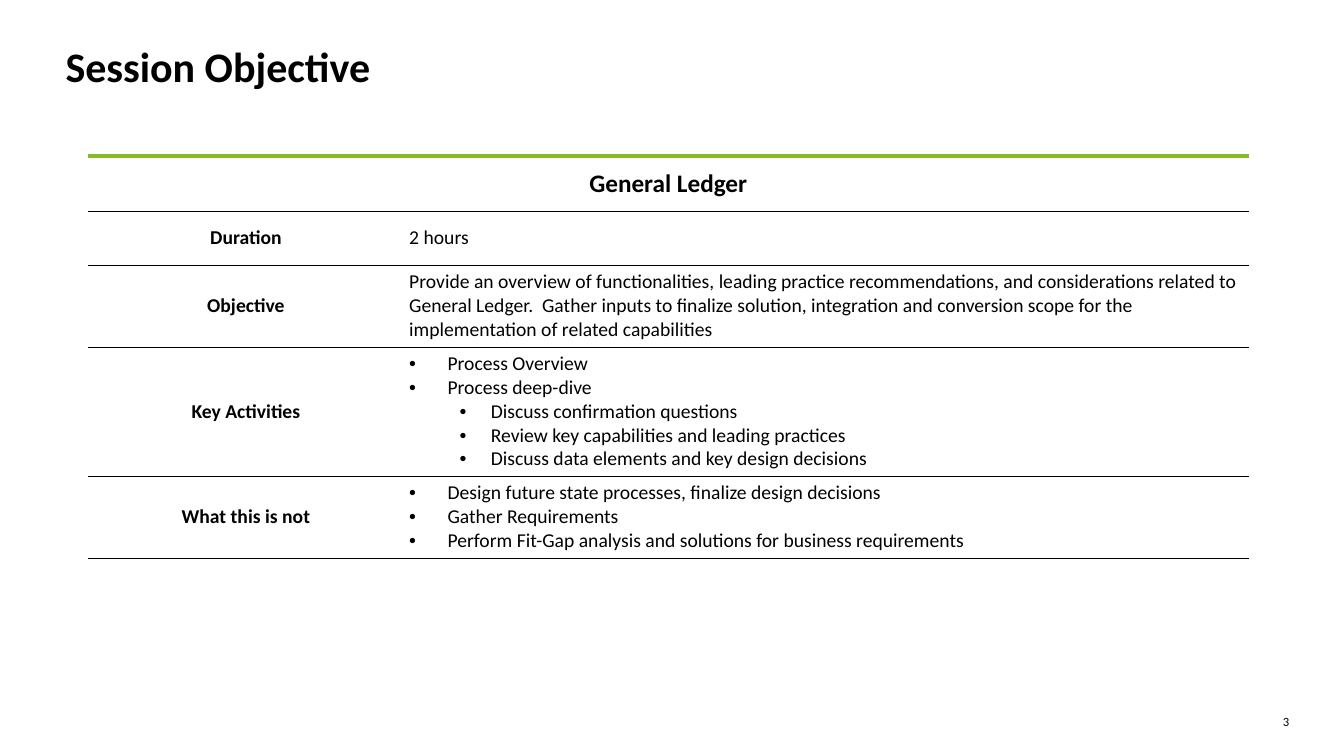
from dataclasses import dataclass

from lxml.etree import SubElement
from pptx import Presentation
from pptx.dml.color import RGBColor
from pptx.enum.text import MSO_ANCHOR, PP_ALIGN
from pptx.oxml import parse_xml
from pptx.oxml.ns import nsdecls, qn
from pptx.util import Inches, Pt


@dataclass(frozen=True)
class Theme:
    font: str = "Calibri"
    ink: str = "000000"
    green: str = "86BC25"
    title: int = 30
    head: int = 18
    body: int = 14
    small: int = 9
    thick: float = 3
    thin: float = 0.25


THEME = Theme()
UNIT = 0.1  # inches per grid step
COLS, ROWS = 133.33, 75

TOPIC = "General Ledger"
# Each row: label, then lines as (level, text); level None has no bullet
FACTS = [
    ("Duration", [(None, "2 hours")]),
    ("Objective", [(None, "Provide an overview of functionalities, leading practice "
                          "recommendations, and considerations related to General Ledger.  "
                          "Gather inputs to finalize solution, integration and conversion "
                          "scope for the implementation of related capabilities")]),
    ("Key Activities", [
        (0, "Process Overview"),
        (0, "Process deep-dive"),
        (1, "Discuss confirmation questions"),
        (1, "Review key capabilities and leading practices"),
        (1, "Discuss data elements and key design decisions")]),
    ("What this is not", [
        (0, "Design future state processes, finalize design decisions"),
        (0, "Gather Requirements"),
        (0, "Perform Fit-Gap analysis and solutions for business requirements")]),
]
INDENTS = [(0.38, -0.38), (0.81, -0.31)]


def grid(*steps):
    return [Inches(step * UNIT) for step in steps]


def style(para, size, bold=False, align=PP_ALIGN.LEFT):
    para.alignment = align
    font = para.font
    font.name, font.size, font.bold = THEME.font, Pt(size), bold
    font.color.rgb = RGBColor.from_string(THEME.ink)


def bullet(para, level):
    left, first = INDENTS[level]
    para.level = level
    props = para._p.get_or_add_pPr()
    props.set("marL", str(Inches(left)))
    props.set("indent", str(Inches(first)))
    color = SubElement(props, qn("a:buClr"))
    SubElement(color, qn("a:srgbClr"), val=THEME.ink)
    SubElement(props, qn("a:buFont"), typeface="Arial")
    SubElement(props, qn("a:buChar"), char="•")


def border(cell, top):
    """Rule the cell above and below; leave its sides open."""
    props = cell._tc.get_or_add_tcPr()
    rules = [("lnL", None), ("lnR", None), ("lnT", top), ("lnB", (THEME.ink, THEME.thin))]
    for place, (tag, rule) in enumerate(rules):
        color, width = rule or (None, 0)
        fill = (f'<a:solidFill><a:srgbClr val="{color}"/></a:solidFill>'
                if rule else "<a:noFill/>")
        props.insert(place, parse_xml(
            f'<a:{tag} {nsdecls("a")} w="{Pt(width)}">{fill}</a:{tag}>'))


def fill_cell(cell, lines, size=THEME.body, bold=False, align=PP_ALIGN.LEFT,
              top=(THEME.ink, THEME.thin)):
    cell.fill.background()
    border(cell, top)
    cell.vertical_anchor = MSO_ANCHOR.MIDDLE
    cell.margin_left = cell.margin_right = Inches(0.05)
    cell.margin_top = cell.margin_bottom = Inches(0.05)
    frame = cell.text_frame
    for index, (level, text) in enumerate(lines):
        para = frame.add_paragraph() if index else frame.paragraphs[0]
        para.text = text
        if level is not None:
            bullet(para, level)
        style(para, size, bold, align)


def add_title(slide, box, text):
    title = slide.shapes.title
    title.left, title.top, title.width, title.height = box
    frame = title.text_frame
    frame.text = text
    frame.vertical_anchor = MSO_ANCHOR.TOP
    style(frame.paragraphs[0], THEME.title, bold=True)


def add_facts(slide, box, split):
    """Table with a merged heading over label and detail columns."""
    table = slide.shapes.add_table(len(FACTS) + 1, 2, *box).table
    table.first_row = table.horz_banding = False
    width = box[2]
    table.columns[0].width = split
    table.columns[1].width = width - split

    # Heading row
    rule = (THEME.green, THEME.thick)
    head, rest = table.cell(0, 0), table.cell(0, 1)
    head.merge(rest)
    fill_cell(head, [(None, TOPIC)], THEME.head, True, PP_ALIGN.CENTER, rule)
    fill_cell(rest, [], top=rule)

    # Label and detail rows
    for row, (label, lines) in enumerate(FACTS, 1):
        fill_cell(table.cell(row, 0), [(None, label)], bold=True, align=PP_ALIGN.CENTER)
        fill_cell(table.cell(row, 1), lines)


def add_number(slide, box, text):
    frame = slide.shapes.add_textbox(*box).text_frame
    frame.word_wrap = True
    frame.margin_left = frame.margin_right = 0
    frame.margin_top = frame.margin_bottom = 0
    frame.text = text
    style(frame.paragraphs[0], THEME.small, align=PP_ALIGN.RIGHT)


def main():
    deck = Presentation()
    deck.slide_width, deck.slide_height = grid(COLS, ROWS)
    slide = deck.slides.add_slide(deck.slide_layouts[5])
    add_title(slide, grid(5.5, 3.5, 122.4, 3.7), "Session Objective")
    add_facts(slide, grid(8.7, 15.5, 115.2, 27), grid(31.4)[0])
    add_number(slide, grid(124.5, 70.8, 3.4, 1.5), "3")
    deck.save("out.pptx")


if __name__ == "__main__":
    main()
